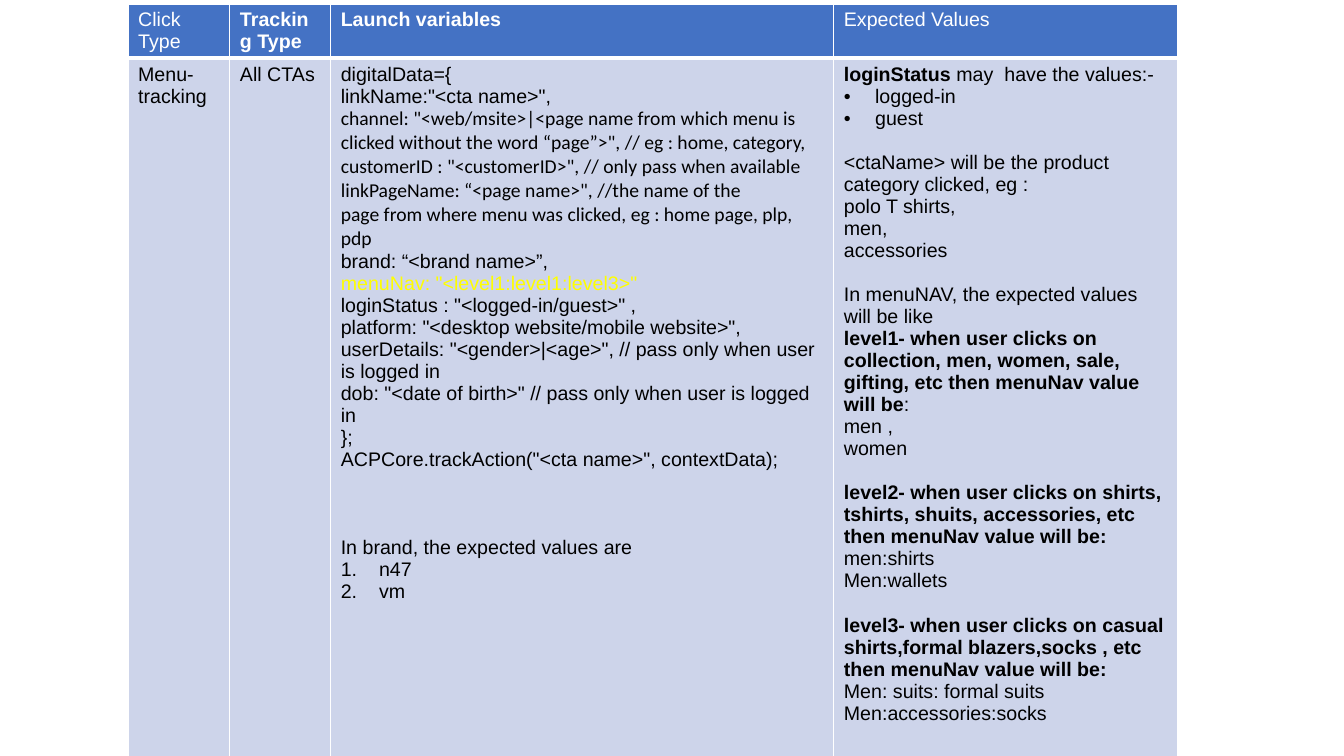
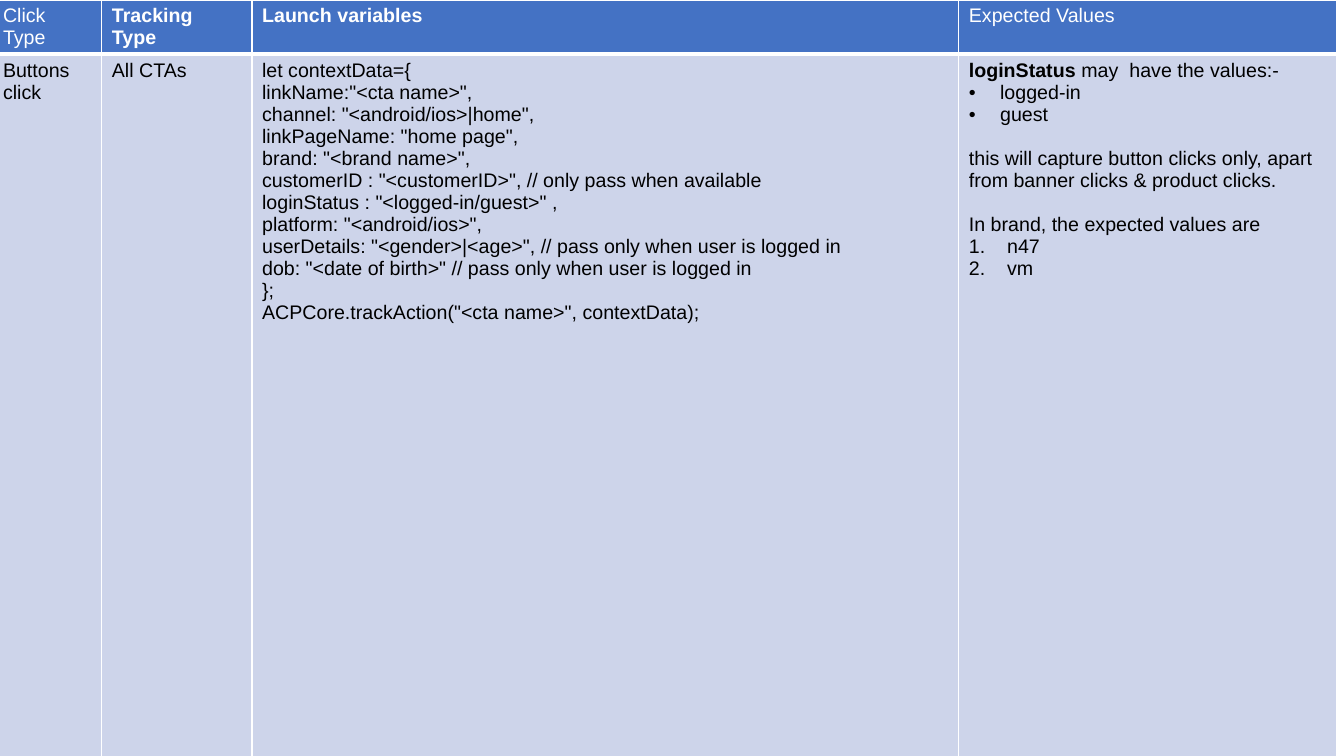
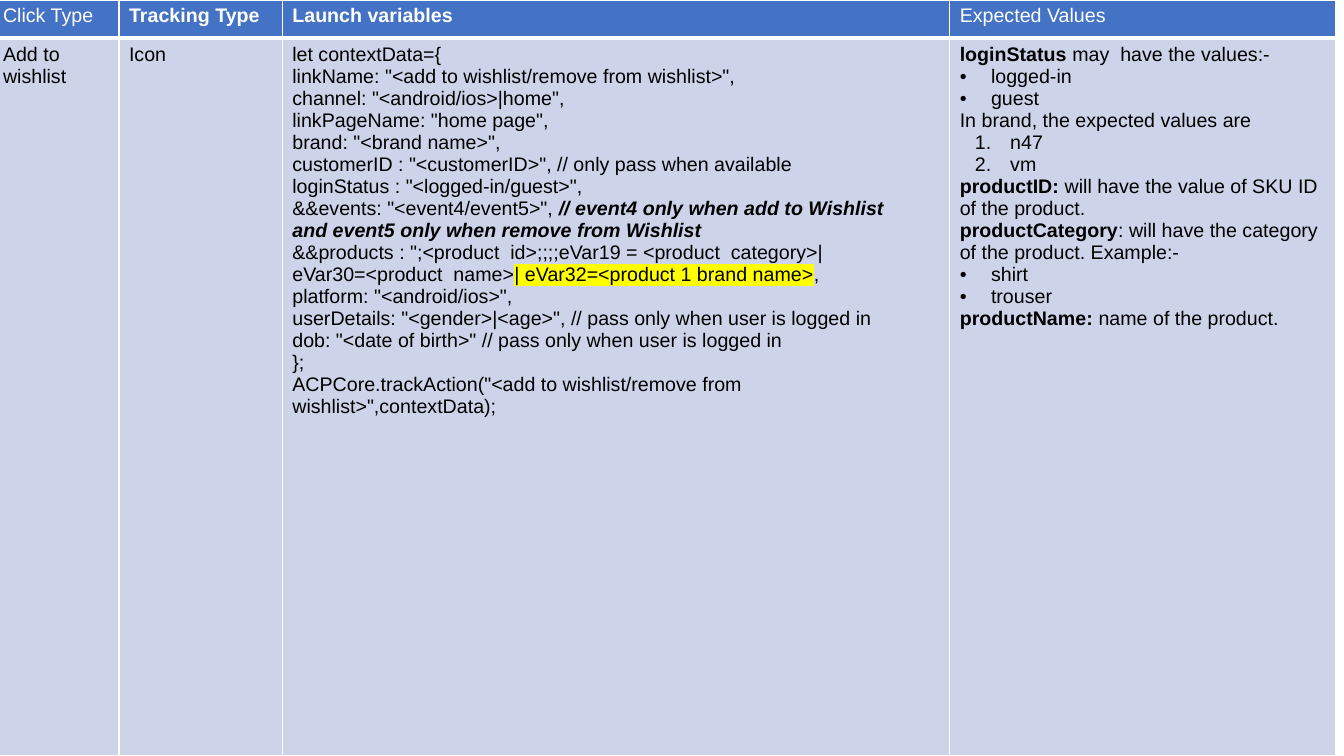
"""Build three slides of click tracking tables."""
from lxml import etree
from pptx import Presentation
from pptx import util as u
from pptx.dml.color import RGBColor
from pptx.oxml import ns

BLUE, PALE, WHITE, BLACK, YELLOW = "4472C4", "CDD4EA", "FFFFFF", "000000", "FFFF00"
FONT, SIZE, GAP = "Arial", 14, 15.8
NBSP = chr(160)
HEADERS = [("Click Type", False), ("Tracking Type", True),
           ("Launch variables", True), ("Expected Values", False)]
ROWS = (0.38, 7.12)
BULLET = ("buChar", {"char": "•"}, 0.31, 0.31)
NUMBER = ("buAutoNum", {"type": "arabicPeriod"}, 0.38, 0.38)
INSET_NUMBER = ("buAutoNum", {"type": "arabicPeriod"}, 0.5, 0.35)


def rgb(value):
    """Turn a hex string into a colour."""
    return RGBColor.from_string(value)


def run(words, **style):
    """Describe a run with its style."""
    return words, style


def bold(words):
    """Describe a bold run."""
    return run(words, bold=True)


def para(*runs, mark=None, gap=0):
    """Describe a paragraph; gap counts the lines left free above it."""
    return [r if isinstance(r, tuple) else run(r) for r in runs], mark, gap


def lines(*texts, mark=None):
    """Describe plain paragraphs, one for each text."""
    return [para(t, mark=mark) for t in texts]


def login_status():
    """Describe the possible login values."""
    return [para(bold("loginStatus "), "may  have the values:-"),
            *lines("logged-in", "guest", mark=BULLET)]


def brands(mark=NUMBER, gap=0):
    """Describe the expected brand values."""
    return [para("In brand, the expected values are", gap=gap),
            *lines("n47", "vm", mark=mark)]


def user_lines(arguments):
    """Describe the closing lines of a launch call."""
    return lines('userDetails: "<gender>|<age>", // pass only when user is logged in',
                 'dob: "<date of birth>" // pass only when user is logged in',
                 "};", f"ACPCore.trackAction({arguments});")


def app_lines(link):
    """Describe the opening lines of an app launch call."""
    return lines("let contextData={", link, 'channel: "<android/ios>|home",',
                 'linkPageName: "home page",', 'brand: "<brand name>",',
                 'customerID : "<customerID>", // only pass when available')


def add_bullet(p, mark):
    """Give a paragraph its bullet or number."""
    tag, attrs, margin, hang = mark
    pPr = p._p.get_or_add_pPr()
    pPr.set("marL", str(u.Inches(margin)))
    pPr.set("indent", str(-u.Inches(hang)))
    clr = etree.SubElement(pPr, ns.qn("a:buClr"))
    etree.SubElement(clr, ns.qn("a:srgbClr"), val=BLACK)
    if mark is BULLET:
        etree.SubElement(pPr, ns.qn("a:buFont"), typeface=FONT)
    etree.SubElement(pPr, ns.qn("a:" + tag), attrs)


def add_run(p, words, color, bold=False, italic=False, font=FONT, highlight=None):
    """Add one styled run."""
    r = p.add_run()
    r.text = words
    r.font.size, r.font.name = u.Pt(SIZE), font
    r.font.bold, r.font.italic = bold, italic
    r.font.color.rgb = rgb(color)
    if highlight:
        hl = etree.Element(ns.qn("a:highlight"))
        etree.SubElement(hl, ns.qn("a:srgbClr"), val=highlight)
        r._r.rPr.find(ns.qn("a:latin")).addprevious(hl)


def add_borders(cell, top, bottom):
    """Draw white borders around a cell."""
    tcPr = cell._tc.get_or_add_tcPr()
    for side, width in zip("LRTB", (1, 1, top, bottom)):
        ln = etree.SubElement(tcPr, ns.qn("a:ln" + side), w=str(u.Pt(width)))
        fill = etree.SubElement(ln, ns.qn("a:solidFill"))
        etree.SubElement(fill, ns.qn("a:srgbClr"), val=WHITE)


def fill_cell(cell, paras, fill, color, top=1, bottom=1):
    """Style a cell and write its paragraphs."""
    add_borders(cell, top, bottom)
    cell.fill.solid()
    cell.fill.fore_color.rgb = rgb(fill)
    tf = cell.text_frame
    for i, (runs, mark, gap) in enumerate(paras):
        p = tf.add_paragraph() if i else tf.paragraphs[0]
        if mark:
            add_bullet(p, mark)
        if gap:
            p.space_before = u.Pt(gap * GAP)
        for words, style in runs:
            add_run(p, words, **{"color": color, **style})


def add_tracking_slide(prs, left, top, widths, body):
    """Add a slide with one tracking table."""
    s = prs.slides.add_slide(prs.slide_layouts[6])
    table = s.shapes.add_table(2, 4, u.Inches(left), u.Inches(top),
                               u.Inches(sum(widths)), u.Inches(sum(ROWS))).table
    for row, height in zip(table.rows, ROWS):
        row.height = u.Inches(height)
    for i, (width, (title, is_bold), paras) in enumerate(zip(widths, HEADERS, body)):
        table.columns[i].width = u.Inches(width)
        fill_cell(table.cell(0, i), [para(run(title, bold=is_bold))], BLUE, WHITE, bottom=3)
        fill_cell(table.cell(1, i), paras, PALE, BLACK, top=3)


def menu_body():
    """Describe the menu tracking row."""
    calibri = [
        'channel: "<web/msite>|<page name from which menu is clicked without the word “page”>", // eg : home, category,',
        'customerID : "<customerID>", // only pass when available',
        f'linkPageName: “<page name>", //the name of the page{NBSP}from where menu was clicked, eg : home page, plp, pdp']
    launch = [
        *lines("digitalData={", 'linkName:"<cta name>",'),
        *[para(run(t, font="Calibri")) for t in calibri],
        para("brand: “<brand name>”,"),
        para(run('menuNav: "<level1:level1:level3>"', color=YELLOW)),
        *lines('loginStatus : "<logged-in/guest>" ,',
               'platform: "<desktop website/mobile website>",'),
        *user_lines('"<cta name>", contextData'),
        *brands(gap=3)]
    expected = [
        *login_status(),
        para("<ctaName> will be the product category clicked, eg :", gap=1),
        *lines("polo T shirts,", "men,", "accessories"),
        para("In menuNAV, the expected values will be like", gap=1),
        para(bold("level1- when user clicks on collection, men, women, sale, gifting, etc then menuNav value will be"), ":"),
        *lines("men ,", "women"),
        para(bold("level2- when user clicks on shirts, tshirts, shuits, accessories, etc then menuNav value will be:"), gap=1),
        *lines("men:shirts", "Men:wallets"),
        para(bold("level3- when user clicks on casual shirts,formal blazers,socks , etc then menuNav value will be:"), gap=1),
        *lines("Men: suits: formal suits", "Men:accessories:socks")]
    return lines("Menu-tracking"), lines("All CTAs"), launch, expected


def buttons_body():
    """Describe the button click row."""
    launch = [
        *app_lines('linkName:"<cta name>",'),
        *lines('loginStatus : "<logged-in/guest>" ,', 'platform: "<android/ios>",'),
        *user_lines('"<cta name>", contextData')]
    expected = [
        *login_status(),
        para("this will capture button clicks only, apart from banner clicks & product clicks.", gap=1),
        *brands(gap=1)]
    return lines("Buttons click"), lines("All CTAs"), launch, expected


def wishlist_body():
    """Describe the wishlist row."""
    action = '"<add to wishlist/remove from wishlist>"'
    launch = [
        *app_lines(f"linkName: {action},"),
        para('loginStatus : "<logged-in/guest>",'),
        para('&&events: "<event4/event5>", ',
             run(f"// event4 only when add to Wishlist and{NBSP}event5 only when remove from Wishlist",
                 bold=True, italic=True)),
        para('&&products : ";<product  id>;;;;eVar19 = <product  category>|eVar30=<product  name>',
             run("| eVar32=<product 1 brand name>", highlight=YELLOW), ","),
        para('platform: "<android/ios>",'),
        *user_lines(f"{action},contextData")]
    expected = [
        *login_status(),
        *brands(INSET_NUMBER),
        para(bold("productID:"), " will have the value of SKU ID of the product."),
        para(bold("productCategory"), ": will have the category of the product. Example:-"),
        *lines("shirt", "trouser", mark=BULLET),
        para(bold("productName: "), "name of the product.")]
    return lines("Add to wishlist"), lines("Icon"), launch, expected


def main():
    """Build and save the presentation."""
    prs = Presentation()
    prs.slide_width, prs.slide_height = u.Inches(13.33), u.Inches(7.5)
    add_tracking_slide(prs, 1.27, 0.04, (1.01, 1, 4.99, 3.41), menu_body())
    add_tracking_slide(prs, -0.07, 0, (1.08, 1.49, 7.01, 3.75), buttons_body())
    add_tracking_slide(prs, -0.07, 0, (1.25, 1.62, 6.62, 3.83), wishlist_body())
    prs.save("out.pptx")


if __name__ == "__main__":
    main()
